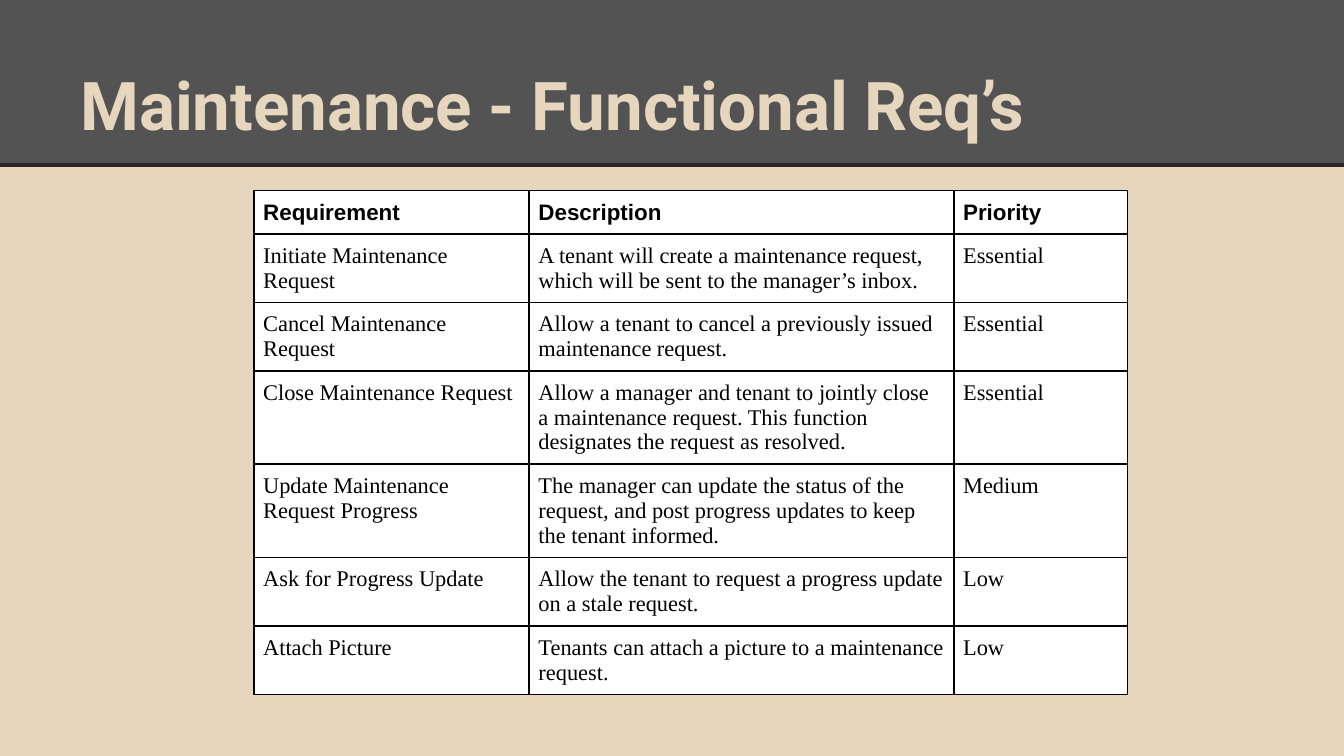
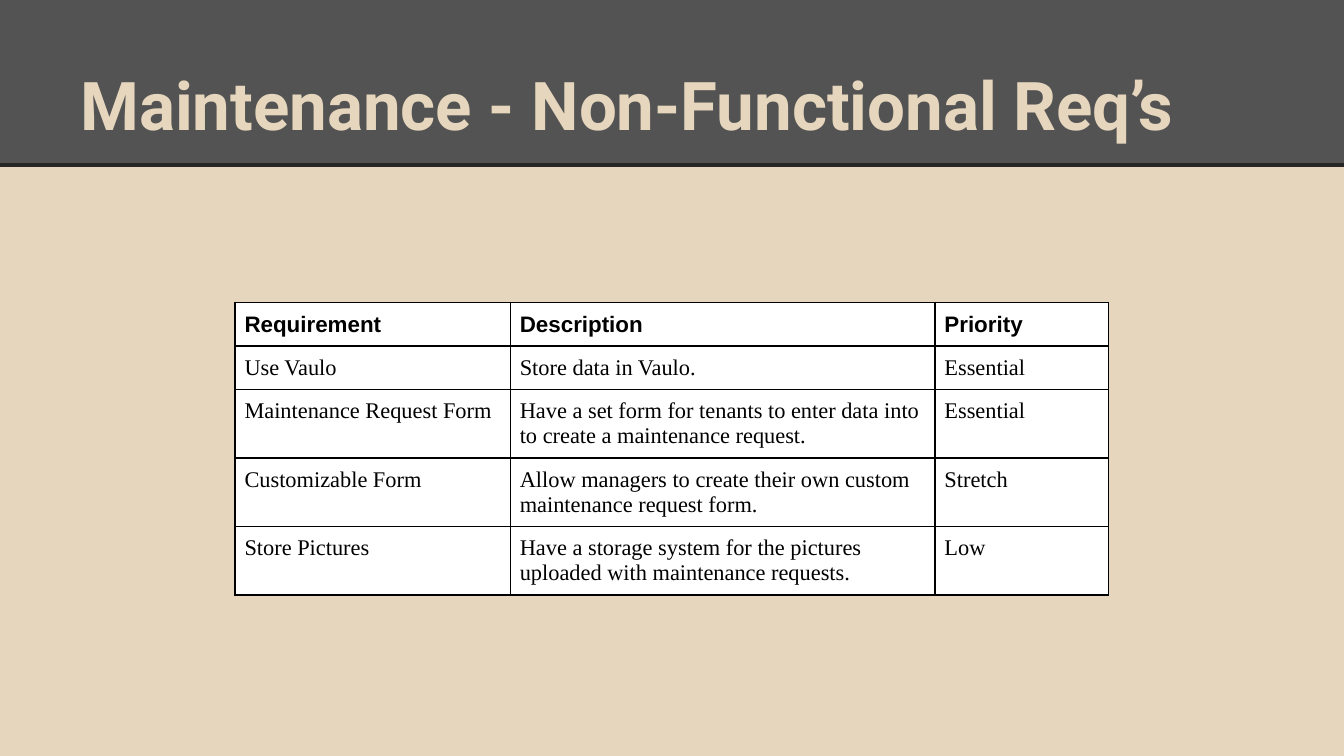
from dataclasses import dataclass
from typing import NamedTuple

from lxml.etree import SubElement
from pptx import Presentation
from pptx.dml.color import RGBColor
from pptx.enum.shapes import MSO_CONNECTOR, MSO_SHAPE
from pptx.enum.text import MSO_ANCHOR, MSO_AUTO_SIZE, PP_ALIGN
from pptx.oxml import parse_xml
from pptx.oxml.ns import nsdecls, qn
from pptx.slide import Slide
from pptx.table import _Cell
from pptx.text.text import TextFrame
from pptx.util import Emu, Pt

WIDTH, HEIGHT = 1440, 810
BAND = 177
COLS = (295, 455, 186)
HEADS = ("Requirement", "Description", "Priority")
PAD, LINE = 10, 26


@dataclass(frozen=True)
class Theme:
    sand: str = "E6D6BD"
    slate: str = "535353"
    rule: str = "262626"
    ink: str = "000000"
    paper: str = "FFFFFF"
    title_font: str = "Roboto"
    head_font: str = "Arial"
    body_font: str = "Times New Roman"
    title_size: int = 36
    cell_size: int = 12
    rule_width: float = 2.25
    grid_width: int = 1


class Need(NamedTuple):
    name: str
    detail: str
    rank: str
    lines: int = 2


class Page(NamedTuple):
    title: str
    left: int
    top: int
    needs: tuple[Need, ...]


THEME = Theme()

PAGES = (
    Page("Maintenance - Functional Req’s", 272, 204, (
        Need("Initiate Maintenance Request",
             "A tenant will create a maintenance request, which will be sent "
             "to the manager’s inbox.", "Essential"),
        Need("Cancel Maintenance Request",
             "Allow a tenant to cancel a previously issued maintenance request.",
             "Essential"),
        Need("Close Maintenance Request",
             "Allow a manager and tenant to jointly close a maintenance request. "
             "This function designates the request as resolved.", "Essential", 3),
        Need("Update Maintenance Request Progress",
             "The manager can update the status of the request, and post progress "
             "updates to keep the tenant informed.", "Medium", 3),
        Need("Ask for Progress Update",
             "Allow the tenant to request a progress update on a stale request.",
             "Low"),
        Need("Attach Picture",
             "Tenants can attach a picture to a maintenance request.", "Low"),
    )),
    Page("Maintenance - Non-Functional Req’s", 252, 324, (
        Need("Use Vaulo", "Store data in Vaulo.", "Essential", 1),
        Need("Maintenance Request Form",
             "Have a set form for tenants to enter data into to create a "
             "maintenance request.", "Essential"),
        Need("Customizable Form",
             "Allow managers to create their own custom maintenance request form.",
             "Stretch"),
        Need("Store Pictures",
             "Have a storage system for the pictures uploaded with maintenance "
             "requests.", "Low"),
    )),
)


def px(count: int) -> Emu:
    """Turn pixels, 144 to the inch, into EMU."""
    return Emu(count * 6350)


def tint(code: str) -> RGBColor:
    return RGBColor.from_string(code)


def inset(box: TextFrame | _Cell, gap: int) -> None:
    box.margin_left = box.margin_right = px(gap)
    box.margin_top = box.margin_bottom = px(gap)


def style(frame: TextFrame, face: str, size: int, color: str, bold: bool) -> None:
    for para in frame.paragraphs:
        para.alignment = PP_ALIGN.LEFT
        font = para.font
        font.name, font.size, font.bold = face, Pt(size), bold
        font.color.rgb = tint(color)


def draw_band(slide: Slide) -> None:
    """Draw the header band and its lower rule behind the title."""
    band = slide.shapes.add_shape(MSO_SHAPE.RECTANGLE, 0, 0, px(WIDTH), px(BAND))
    band.shadow.inherit = False
    band.fill.solid()
    band.fill.fore_color.rgb = tint(THEME.slate)
    band.line.fill.background()
    rule = slide.shapes.add_connector(
        MSO_CONNECTOR.STRAIGHT, 0, px(BAND), px(WIDTH), px(BAND))
    rule.line.color.rgb = tint(THEME.rule)
    rule.line.width = Pt(THEME.rule_width)
    SubElement(rule.element.spPr, qn("a:effectLst"))
    title = slide.shapes.title.element
    title.addprevious(band.element)
    title.addprevious(rule.element)


def set_title(slide: Slide, text: str) -> None:
    title = slide.shapes.title
    title.left, title.top = px(72), px(33)
    title.width, title.height = px(1296), px(135)
    frame = title.text_frame
    frame.text = text
    frame.word_wrap = True
    frame.auto_size = MSO_AUTO_SIZE.NONE
    frame.vertical_anchor = MSO_ANCHOR.BOTTOM
    inset(frame, 14)
    style(frame, THEME.title_font, THEME.title_size, THEME.sand, True)


def add_edges(cell: _Cell) -> None:
    props = cell._tc.get_or_add_tcPr()
    for spot, side in enumerate(("lnL", "lnR", "lnT", "lnB")):
        edge = parse_xml(
            f'<a:{side} {nsdecls("a")} w="{Pt(THEME.grid_width)}"><a:solidFill>'
            f'<a:srgbClr val="{THEME.ink}"/></a:solidFill></a:{side}>')
        props.insert(spot, edge)


def fill_cell(cell: _Cell, text: str, head: bool) -> None:
    cell.text = text
    inset(cell, PAD)
    cell.fill.solid()
    cell.fill.fore_color.rgb = tint(THEME.paper)
    face = THEME.head_font if head else THEME.body_font
    style(cell.text_frame, face, THEME.cell_size, THEME.ink, head)
    add_edges(cell)


def draw_table(slide: Slide, page: Page) -> None:
    rows = (Need(*HEADS, lines=1), *page.needs)
    highs = [2 * PAD + LINE * row.lines for row in rows]
    grid = slide.shapes.add_table(
        len(rows), len(COLS), px(page.left), px(page.top),
        px(sum(COLS)), px(sum(highs))).table
    grid.first_row = grid.horz_banding = False
    for col, width in zip(grid.columns, COLS):
        col.width = px(width)
    for i, (row, high) in enumerate(zip(rows, highs)):
        grid.rows[i].height = px(high)
        for j, text in enumerate((row.name, row.detail, row.rank)):
            fill_cell(grid.cell(i, j), text, i == 0)


def main() -> None:
    deck = Presentation()
    deck.slide_width, deck.slide_height = px(WIDTH), px(HEIGHT)
    back = deck.slide_master.background.fill
    back.solid()
    back.fore_color.rgb = tint(THEME.sand)
    layout = deck.slide_layouts.get_by_name("Title Only")
    for page in PAGES:
        slide = deck.slides.add_slide(layout)
        draw_band(slide)
        set_title(slide, page.title)
        draw_table(slide, page)
    deck.save("out.pptx")


if __name__ == "__main__":
    main()
